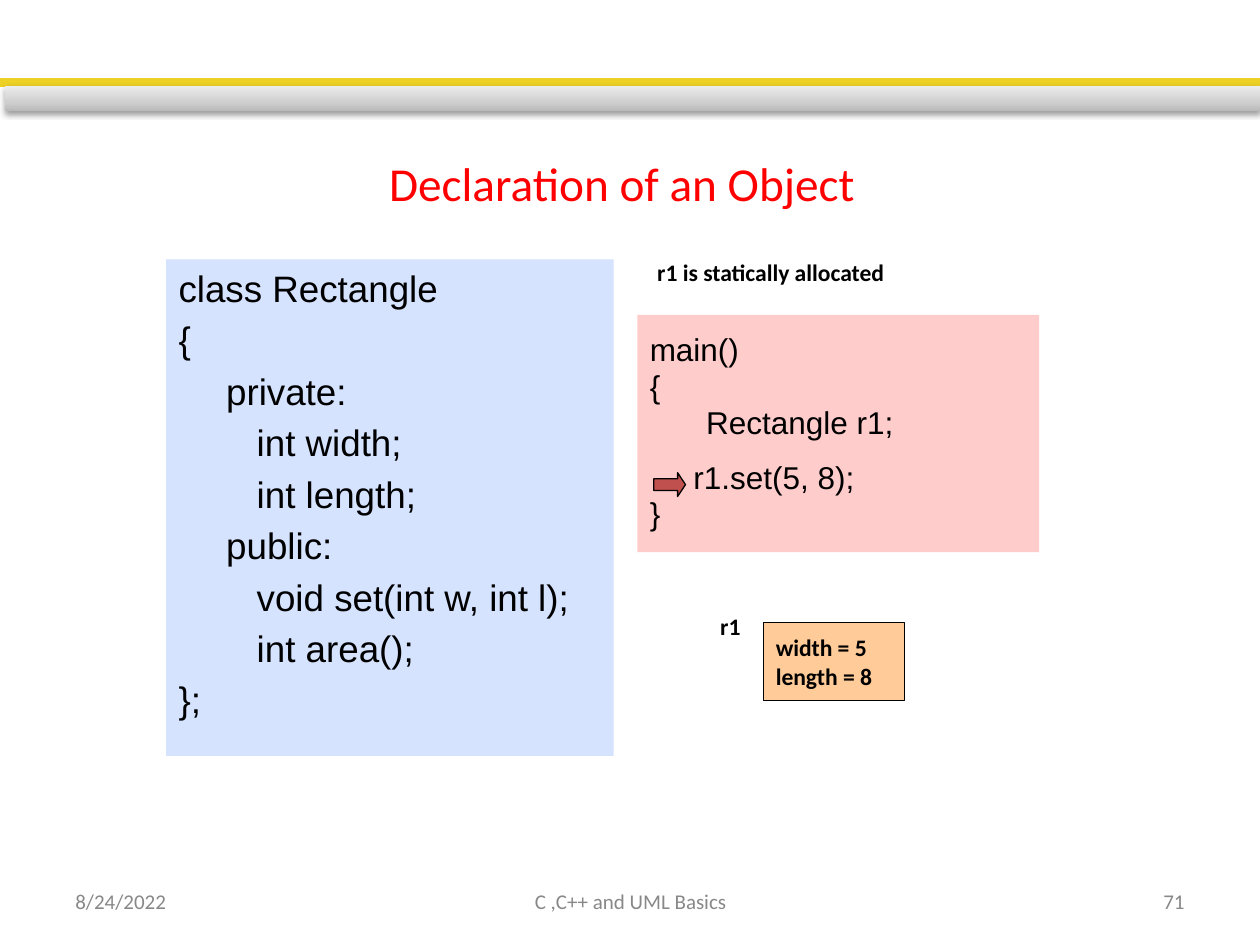
import pptx
import pptx.util
import pptx.dml.color
import pptx.enum.shapes
import pptx.enum.text
import pptx.oxml
import pptx.oxml.ns

Cm, Pt = pptx.util.Cm, pptx.util.Pt
SHAPE = pptx.enum.shapes.MSO_SHAPE
ALIGN = pptx.enum.text.PP_ALIGN
ANCHOR = pptx.enum.text.MSO_ANCHOR

HUES = {
    "black": "000000", "red": "FF0000", "gray": "888888",
    "blue": "D5E3FF", "pink": "FFCCCC", "peach": "FFCC99",
    "brick": "C0504D", "gold": "EED126",
}
FADE = [(0, "BABABA"), (35, "CFCFCF"), (100, "EDEDED")]

CLASS = [
    "class Rectangle", "{", "\tprivate:", "\t   int width;", "\t   int length;",
    "\tpublic:", "\t   void set(int w, int l);", "\t   int area();", "};",
]
MAIN = ["main()", "{", "\t Rectangle r1;", "     r1.set(5, 8);", "}"]
VALUES = ["width = 5", "length = 8"]
TITLE = ("Declaration of an Object", (3.96, 3.02, 17.15, 1.32))
LABELS = [
    ("r1 is statically allocated", (13, 5.08, 5.16, 0.84)),
    ("r1", (14.27, 12.22, 0.91, 0.84)),
]
FOOT = [
    ("8/24/2022", 1.27, 5.92, ALIGN.LEFT),
    ("C ,C++ and UML Basics", 8.69, 8.05, ALIGN.CENTER),
    ("71", 18.21, 5.92, ALIGN.RIGHT),
]

deck = pptx.Presentation()
deck.slide_width, deck.slide_height = Cm(25.4), Cm(19.05)
slide = deck.slides.add_slide(deck.slide_layouts[6])


def tint(name):
    return pptx.dml.color.RGBColor.from_string(HUES[name])


def block(box, hue, edge=None, width=0.75, kind=SHAPE.RECTANGLE):
    shape = slide.shapes.add_shape(kind, *map(Cm, box))
    shape.shadow.inherit = False
    shape.fill.solid()
    shape.fill.fore_color.rgb = tint(hue)
    if edge:
        shape.line.color.rgb = tint(edge)
        shape.line.width = Pt(width)
    else:
        shape.line.fill.background()
    return shape


def write(shape, lines, size, hue="black", face="Calibri", bold=False,
          align=ALIGN.LEFT, anchor=ANCHOR.TOP, wrap=True):
    frame = shape.text_frame
    frame.text = "\n".join(lines)
    frame.word_wrap = wrap
    frame.vertical_anchor = anchor
    for para in frame.paragraphs:
        para.alignment = align
        for run in para.runs:
            run.font.size = Pt(size)
            run.font.name = face
            run.font.bold = bold
            run.font.color.rgb = tint(hue)
    return frame


def label(text, box, size, **style):
    return write(slide.shapes.add_textbox(*map(Cm, box)), [text], size, **style)


def code(box, hue, lines, size, gap):
    frame = write(block(box, hue), lines, size, face="Arial")
    for n, para in enumerate(frame.paragraphs):
        props = para._p.get_or_add_pPr()
        props.set("marL", str(Cm(0.96)))
        props.set("indent", str(-Cm(0.96)))
        if n:
            para.space_before = Pt(gap)
    return frame


def shade(shape):
    space = pptx.oxml.ns.nsdecls("a")
    stops = "".join(
        f'<a:gs pos="{spot * 1000}"><a:srgbClr val="{hue}"/></a:gs>'
        for spot, hue in FADE)
    grad = pptx.oxml.parse_xml(
        f'<a:gradFill {space} rotWithShape="1"><a:gsLst>{stops}</a:gsLst>'
        '<a:lin ang="16200000" scaled="0"/></a:gradFill>')
    cast = pptx.oxml.parse_xml(
        f'<a:outerShdw {space} blurRad="{Pt(3.1)}" dist="{Pt(1.6)}" '
        'dir="5400000" rotWithShape="0"><a:srgbClr val="000000">'
        '<a:alpha val="38000"/></a:srgbClr></a:outerShdw>')
    props = shape._element.spPr
    props.replace(props.find(pptx.oxml.ns.qn("a:solidFill")), grad)
    props.find(pptx.oxml.ns.qn("a:effectLst")).append(cast)


code((3.35, 5.23, 9.02, 10.01), "blue", CLASS, 21, 4.2)
label(*TITLE, 27, hue="red", align=ALIGN.CENTER, anchor=ANCHOR.MIDDLE)

main = code((12.85, 6.35, 8.1, 4.78), "pink", MAIN, 18, 3.6)
main.margin_top = Cm(0.45)
for para in main.paragraphs:
    para.line_spacing = 0.8
main.paragraphs[3].space_before = Pt(14)

for text, box in LABELS:
    label(text, box, 13.5, bold=True, wrap=False)
arrow = block((13.18, 9.53, 0.64, 0.48), "brick", "black", kind=SHAPE.RIGHT_ARROW)
arrow.adjustments[1] = 0.33
write(block((15.39, 12.55, 2.84, 1.57), "peach", "black"), VALUES, 13.5,
      bold=True, anchor=ANCHOR.MIDDLE)

block((0, 1.6, 25.4, 0.13), "gold", "gold", 2)
shade(block((0.1, 1.73, 25.3, 0.51), "gray"))

for text, left, width, align in FOOT:
    label(text, (left, 17.65, width, 1.02), 12, hue="gray", align=align,
          anchor=ANCHOR.MIDDLE)

deck.save("out.pptx")
